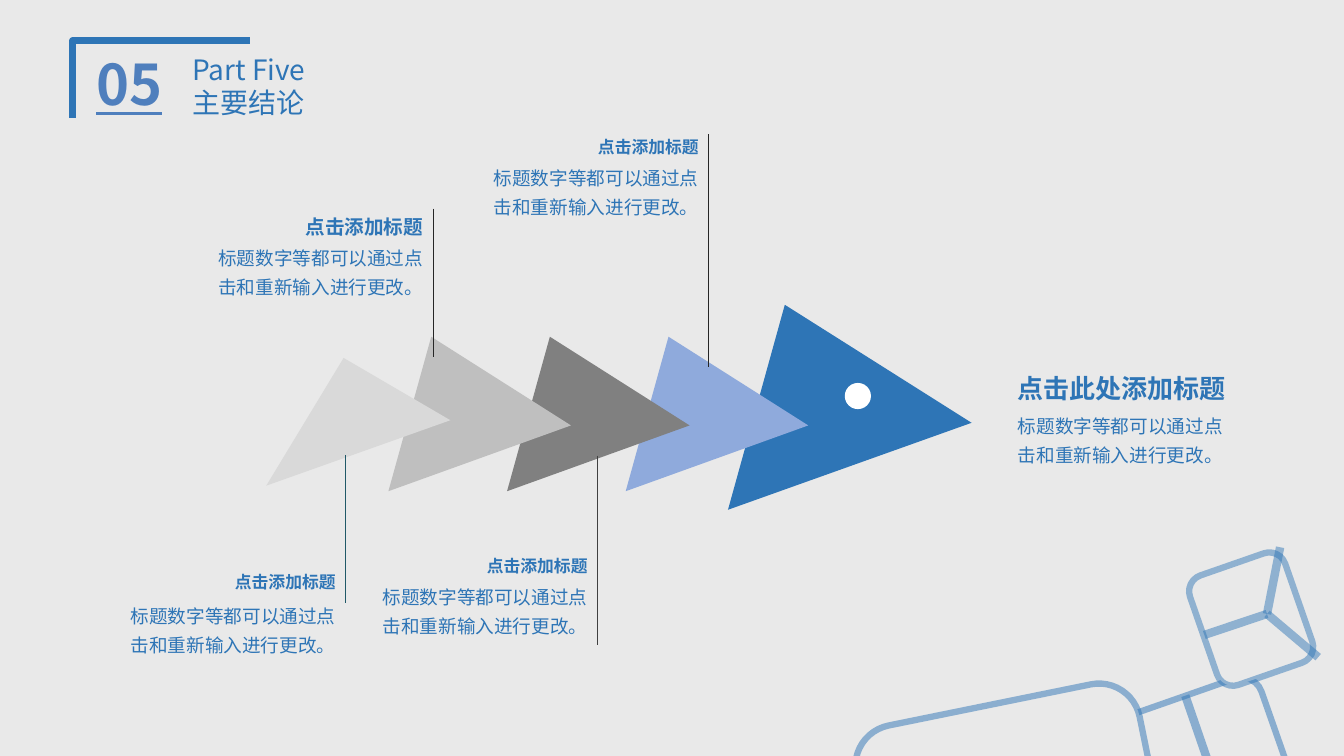
from lxml.etree import SubElement
from pptx import Presentation
from pptx.dml.color import RGBColor
from pptx.enum.shapes import MSO_CONNECTOR as Link, MSO_SHAPE as Kind
from pptx.enum.text import MSO_AUTO_SIZE as Auto, PP_ALIGN as Align
from pptx.oxml.ns import qn
from pptx.util import Cm, Pt

FONT = "Noto Sans CJK SC"
BLUE, BACK = "2E75B6", "E9E9E9"
BODY = "标题数字等都可以通过点击和重新输入进行更改。"
tint = RGBColor.from_string


def stroke(shape, color, width, alpha=100):
    """Set a shadowless outline, with alpha in percent."""
    shape.line.color.rgb = tint(color)
    shape.line.width = Pt(width)
    props = shape.element.spPr
    if alpha < 100:
        ink = props.find(".//" + qn("a:ln") + "//" + qn("a:srgbClr"))
        SubElement(ink, qn("a:alpha"), val=str(alpha * 1000))
    SubElement(props, qn("a:effectLst"))


def write(box, lines, size, color=BLUE, bold=False, under=False,
          align=Align.LEFT, space=None, wrap=True):
    """Add a text box at box (left, top, width, height in cm)."""
    frame = shapes.add_textbox(*map(Cm, box)).text_frame
    frame.word_wrap = wrap
    frame.auto_size = Auto.SHAPE_TO_FIT_TEXT
    for i, line in enumerate(lines):
        para = frame.add_paragraph() if i else frame.paragraphs[0]
        para.alignment = align
        para.line_spacing = space
        run = para.add_run()
        run.text = line
        font = run.font
        font.name, font.size, font.bold = FONT, Pt(size), bold
        font.color.rgb = tint(color)
        if under:
            font.underline = True
        SubElement(font._element, qn("a:ea"), typeface=FONT)


deck = Presentation()
deck.slide_width, deck.slide_height = Cm(33.87), Cm(19.05)
slide = deck.slides.add_slide(deck.slide_layouts[6])
slide.background.fill.solid()
slide.background.fill.fore_color.rgb = tint(BACK)
shapes = slide.shapes

# Header corner
path = shapes.build_freeform(Cm(1.83), Cm(2.97))
path.add_line_segments([(Cm(1.83), Cm(1.02)), (Cm(6.3), Cm(1.02))], close=False)
corner = path.convert_to_shape()
corner.fill.background()
stroke(corner, BLUE, 4.5)

# Cubes in the lower right corner
for box, turn, alpha in [
    ((28.52, 17.45, 3.73, 3.2), 340.7, 51),
    ((21.92, 17.7, 7.29, 6.27), 168.5, 49),
    ((30.07, 14.33, 2.92, 2.54), 250.8, 48),
]:
    cube = shapes.add_shape(Kind.ROUNDED_RECTANGLE, *map(Cm, box))
    cube.rotation = turn
    cube.fill.solid()
    cube.fill.fore_color.rgb = tint(BACK)
    stroke(cube, BLUE, 4.5, alpha)

hub = (31.93, 15.47)
for start, end, alpha in [
    ((29.87, 17.53), (30.56, 19.53), 51),
    ((30.35, 16), hub, 48),
    ((33.22, 16.56), hub, 48),
    ((32.26, 13.79), hub, 48),
]:
    edge = shapes.add_connector(Link.STRAIGHT, *map(Cm, start + end))
    stroke(edge, BLUE, 6, alpha)

# Header text
write((2.18, 1.12, 2.41, 1.96), ["05"], 40, "4F7FBD", bold=True, under=True)
write((4.6, 1.19, 6.1, 1.96), ["Part Five", "主要结论"], 20)

# Fish: head, body from right to left, tail, eye
parts = [((18.95, 8.31, 5.36, 5.33), BLUE)]
for i, color in enumerate(["8FAADC", "808080", "BFBFBF"]):
    parts.append(((16.21 - 2.99 * i, 8.97, 4.04, 3.99), color))
for box, color in parts:
    part = shapes.add_shape(Kind.ISOSCELES_TRIANGLE, *map(Cm, box))
    part.adjustments[0] = 0.3
    part.rotation = 105.5
    part.fill.solid()
    part.fill.fore_color.rgb = tint(color)
    part.line.fill.background()
    part.shadow.inherit = False

path = shapes.build_freeform(Cm(8.66), Cm(9.02))
path.add_line_segments([(Cm(11.35), Cm(10.59)), (Cm(6.71), Cm(12.24))])
tail = path.convert_to_shape()
eye = shapes.add_shape(Kind.OVAL, Cm(21.29), Cm(9.65), Cm(0.66), Cm(0.66))
for part, color in [(tail, "D9D9D9"), (eye, "FFFFFF")]:
    part.fill.solid()
    part.fill.fore_color.rgb = tint(color)
    part.line.fill.background()
    part.shadow.inherit = False

# Leaders, each with a title and a body set against its left side
for x, top, low, color, head, size, body in [
    (17.86, 3.38, 9.25, "262626", 3.33, 12, 3.91),
    (10.92, 5.26, 8.99, "262626", 5.28, 14, 5.94),
    (15.06, 11.48, 16.26, "404040", 13.89, 12, 14.48),
    (8.71, 11.46, 15.19, "215968", 14.27, 12, 14.96),
]:
    rod = shapes.add_connector(Link.STRAIGHT, Cm(x), Cm(top), Cm(x), Cm(low))
    stroke(rod, color, 0.75)
    write((x - 4.17, head, 4.17, 0.76), ["点击添加标题"], size,
          bold=True, align=Align.RIGHT)
    write((x - 5.94, body, 5.94, 1.73), [BODY], 13.3,
          align=Align.RIGHT, space=1.3)

# Conclusion
write((25.4, 10.16, 5.82, 1.73), [BODY], 13.3, space=1.3)
write((25.4, 9.25, 5.82, 1.07), ["点击此处添加标题"], 18.6, bold=True, wrap=False)

deck.save("out.pptx")
